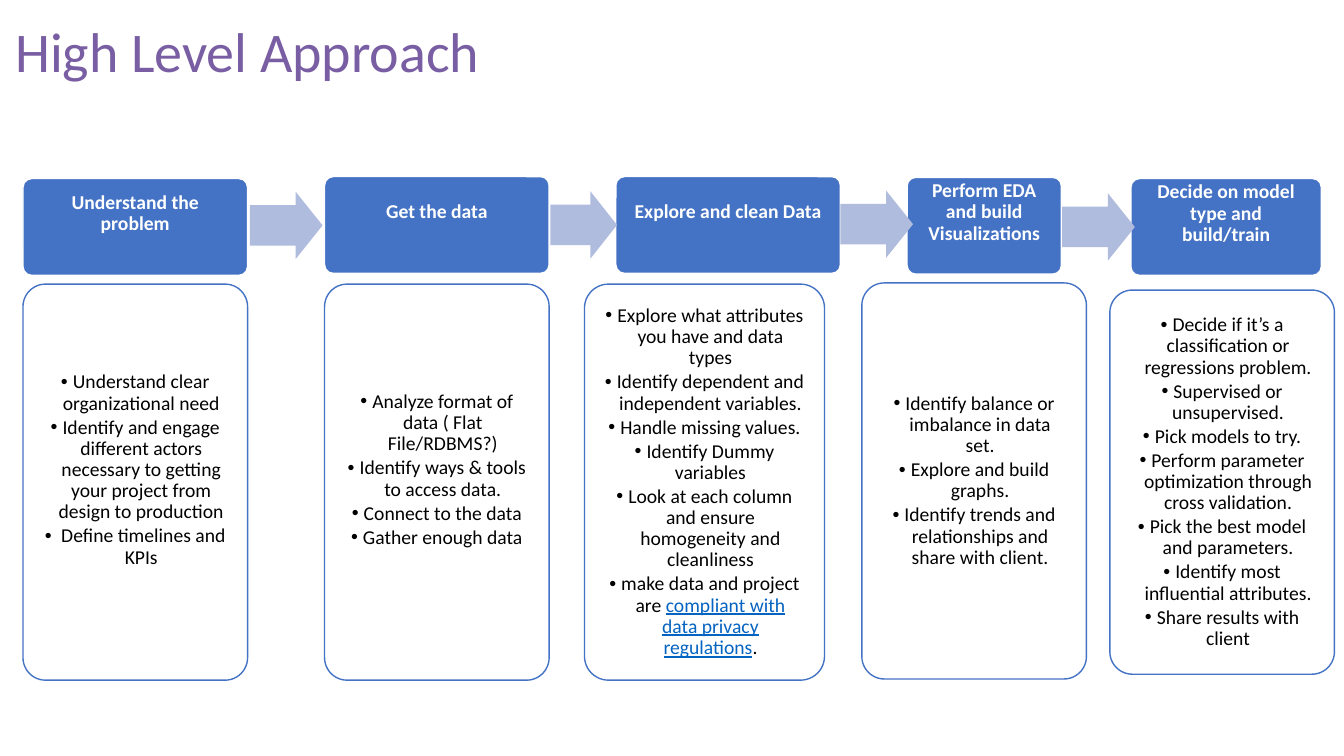
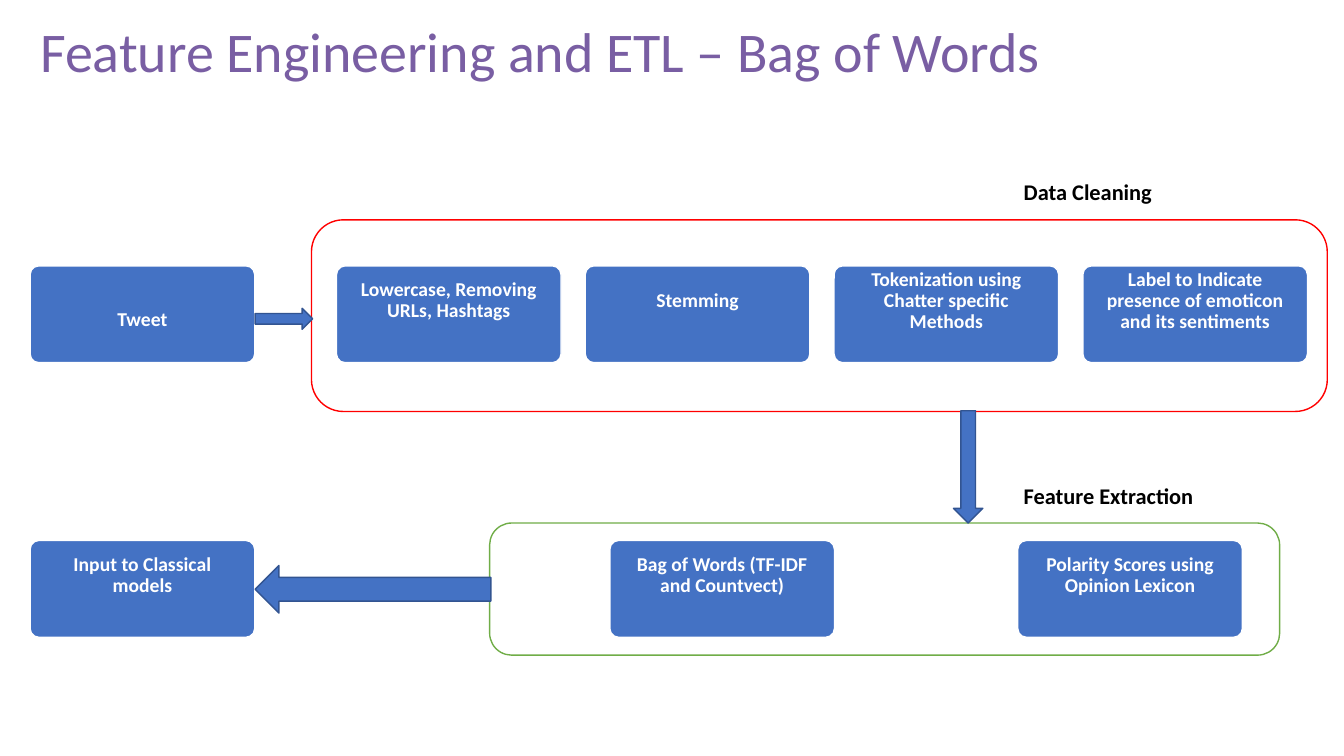
"""Builds a two-slide deck on a data science approach and its text pipeline."""
from copy import deepcopy
from dataclasses import dataclass

from lxml import etree
from pptx import Presentation
from pptx import util as u
from pptx.dml.color import RGBColor
from pptx.enum import shapes, text
from pptx.oxml.ns import qn

MSO = shapes.MSO_SHAPE
CENTER = text.PP_ALIGN.CENTER


@dataclass(frozen=True)
class Theme:
    font: str = "Calibri"
    title: str = "795EA3"
    box: str = "4472C4"
    edge: str = "325491"
    chevron: str = "B0BCDE"
    cleaning: str = "FF0000"
    extraction: str = "70AD47"
    link: str = "0563C1"
    ink: str = "000000"
    paper: str = "FFFFFF"
    title_size: int = 40
    label_size: int = 16
    text_size: int = 14


class Deck:
    def __init__(self, theme):
        self.th = theme
        self.prs = Presentation()
        self.prs.slide_width, self.prs.slide_height = u.Cm(33.87), u.Cm(19.05)
        self.s = None
        self.bodies = iter(())

    def place(self, sp, at):
        for name, value in zip(("left", "top", "width", "height"), at):
            setattr(sp, name, u.Cm(value))

    def run(self, p, words, size, color, **fmt):
        r = p.add_run()
        r.text = words
        fmt = {"name": self.th.font, "size": u.Pt(size), **fmt}
        for name, value in fmt.items():
            setattr(r.font, name, value)
        r.font.color.rgb = RGBColor.from_string(color)

    def frame(self, tf, inset=None, bottom=None, anchor=text.MSO_ANCHOR.MIDDLE):
        fmt = {"word_wrap": True, "auto_size": text.MSO_AUTO_SIZE.NONE,
               "vertical_anchor": anchor}
        if inset is not None:
            sides = ("margin_left", "margin_top", "margin_right")
            fmt.update(dict.fromkeys(sides, u.Cm(inset)), margin_bottom=u.Cm(bottom))
        for name, value in fmt.items():
            setattr(tf, name, value)

    def paragraph(self, p, **fmt):
        fmt = {"space_before": u.Pt(0), "line_spacing": 0.9, "alignment": CENTER, **fmt}
        for name, value in fmt.items():
            setattr(p, name, value)

    def slide(self, title, left, width, lists=0):
        layout = self.prs.slide_layouts[1 if lists else 5]
        if lists:
            body = layout.placeholders[1].element
            for n in range(1, lists):
                twin = deepcopy(body)
                twin.nvSpPr.cNvPr.id = 100 + n
                twin.ph.idx = 100 + n
                body.getparent().append(twin)
        self.s = self.prs.slides.add_slide(layout)
        self.bodies = iter([ph for ph in self.s.placeholders
                            if ph.placeholder_format.idx])
        sp = self.s.shapes.title
        self.place(sp, (left, 0.33, width, 2.08))
        self.frame(sp.text_frame)
        p = sp.text_frame.paragraphs[0]
        self.paragraph(p, alignment=text.PP_ALIGN.LEFT)
        self.run(p, title, self.th.title_size, self.th.title)

    def shape(self, kind, at, fill=None, line=None, adjust=()):
        sp = self.s.shapes.add_shape(kind, *map(u.Cm, at))
        sp.shadow.inherit = False
        for i, value in enumerate(adjust):
            sp.adjustments[i] = value
        if fill:
            sp.fill.solid()
            sp.fill.fore_color.rgb = RGBColor.from_string(fill)
        else:
            sp.fill.background()
        if line:
            sp.line.color.rgb = RGBColor.from_string(line)
            sp.line.width = u.Pt(1)
        else:
            sp.line.fill.background()
        return sp

    def box(self, words, left, top, width=5.66, spacing=0.9):
        sp = self.shape(MSO.ROUNDED_RECTANGLE, (left, top, width, 2.44),
                        self.th.box, self.th.paper, (0.09,))
        self.frame(sp.text_frame, 0.3, 0.97)
        p = sp.text_frame.paragraphs[0]
        self.paragraph(p, line_spacing=spacing)
        self.run(p, words, self.th.text_size, self.th.paper, bold=True)

    def card(self, items, at, bottom):
        self.shape(MSO.ROUNDED_RECTANGLE, at, line=self.th.box, adjust=(0.1,))
        body = next(self.bodies)
        self.place(body, at)
        tf = body.text_frame
        self.frame(tf, 0.51, bottom)
        for i, item in enumerate(items):
            p = tf.add_paragraph() if i else tf.paragraphs[0]
            self.paragraph(p, space_after=u.Pt(2))
            self.bullet(p)
            for j, words in enumerate(item.split("|")):
                linked = j % 2 == 1
                self.run(p, words, self.th.text_size,
                         self.th.link if linked else self.th.ink, underline=linked)

    def bullet(self, p):
        pPr = p._p.get_or_add_pPr()
        pPr.set("marL", str(u.Cm(0.3)))
        pPr.set("indent", str(-u.Cm(0.3)))
        etree.SubElement(pPr, qn("a:buChar")).set("char", "•")

    def label(self, words, left, top, width):
        tf = self.s.shapes.add_textbox(*map(u.Cm, (left, top, width, 0.94))).text_frame
        self.frame(tf, anchor=text.MSO_ANCHOR.TOP)
        self.run(tf.paragraphs[0], words, self.th.label_size, self.th.ink, bold=True)


def approach(d):
    stages = [
        ("Understand the problem", (0.58, 4.5, 5.66), (0.58, 7.16, 5.66, 9.98), 1.12,
         ["Understand clear organizational need",
          "Identify and engage different actors necessary to getting your project "
          "from design to production",
          " Define timelines and KPIs"]),
        ("Get the data", (8.18, 4.45, 5.66), (8.18, 7.16, 5.66, 9.98), 1.12,
         ["Analyze format of data ( Flat File/RDBMS?)",
          "Identify ways & tools to access data.",
          "Connect to the data",
          "Gather enough data"]),
        ("Explore and clean Data", (15.52, 4.45, 5.66), (14.73, 7.16, 6.05, 9.98), 0.51,
         ["Explore what attributes you have and data types",
          "Identify dependent and independent variables.",
          "Handle missing values.",
          "Identify Dummy variables",
          "Look at each column and ensure homogeneity and cleanliness",
          "make data and project are |compliant with data privacy regulations|."]),
        ("Perform EDA and build Visualizations", (22.86, 4.47, 3.89),
         (21.72, 7.13, 5.66, 9.98), 0.51,
         ["Identify balance or imbalance in data set.",
          "Explore and build graphs.",
          "Identify trends and relationships and share with client."]),
        ("Decide on model type and build/train", (28.5, 4.5, 4.8),
         (27.97, 7.31, 5.66, 9.68), 0.51,
         ["Decide if it’s a classification or regressions problem.",
          "Supervised or unsupervised.",
          "Pick models to try.",
          "Perform parameter optimization through cross validation.",
          "Pick the best model and parameters.",
          "Identify most influential attributes.",
          "Share results with client"]),
    ]
    d.slide("High Level Approach", 0.13, 27.53, lists=len(stages))
    for heading, head_at, card_at, bottom, items in stages:
        d.box(heading, *head_at)
        d.card(items, card_at, bottom)
    for left, top, width in ((6.3, 4.83, 1.83), (13.87, 4.82, 1.68),
                             (21.18, 4.8, 1.83), (26.77, 4.87, 1.83)):
        d.shape(MSO.RIGHT_ARROW, (left, top, width, 1.7), d.th.chevron,
                adjust=(0.6, 0.4))


def features(d):
    d.slide("Feature Engineering and ETL – Bag of Words", 0.76, 29.24)
    for at, color in (((12.34, 13.18, 19.91, 3.33), d.th.extraction),
                      ((7.85, 5.54, 25.6, 4.83), d.th.cleaning)):
        d.shape(MSO.ROUNDED_RECTANGLE, at, d.th.paper, color)
    cleaning = ("Lowercase, Removing URLs, Hashtags", "Stemming",
                "Tokenization using Chatter specific Methods",
                "Label to Indicate presence of emoticon and its sentiments")
    d.box("Tweet", 0.76, 6.7, spacing=2.5)
    for i, step in enumerate(cleaning):
        d.box(step, 8.48 + 6.27 * i, 6.7)
    for step, left in (("Input to Classical models", 0.76),
                       ("Bag of Words (TF-IDF and Countvect)", 15.37),
                       ("Polarity Scores using Opinion Lexicon", 25.65)):
        d.box(step, left, 13.62)
    d.label("Data Cleaning", 25.55, 4.37, 4.47)
    d.label("Feature Extraction", 25.55, 12.02, 5.13)
    for kind, at in ((MSO.RIGHT_ARROW, (6.43, 7.77, 1.45, 0.53)),
                     (MSO.LEFT_ARROW, (6.43, 14.25, 5.94, 1.2)),
                     (MSO.DOWN_ARROW, (24.03, 10.35, 0.74, 2.83))):
        d.shape(kind, at, d.th.box, d.th.edge)


def main():
    d = Deck(Theme())
    approach(d)
    features(d)
    d.prs.save("out.pptx")


if __name__ == "__main__":
    main()
